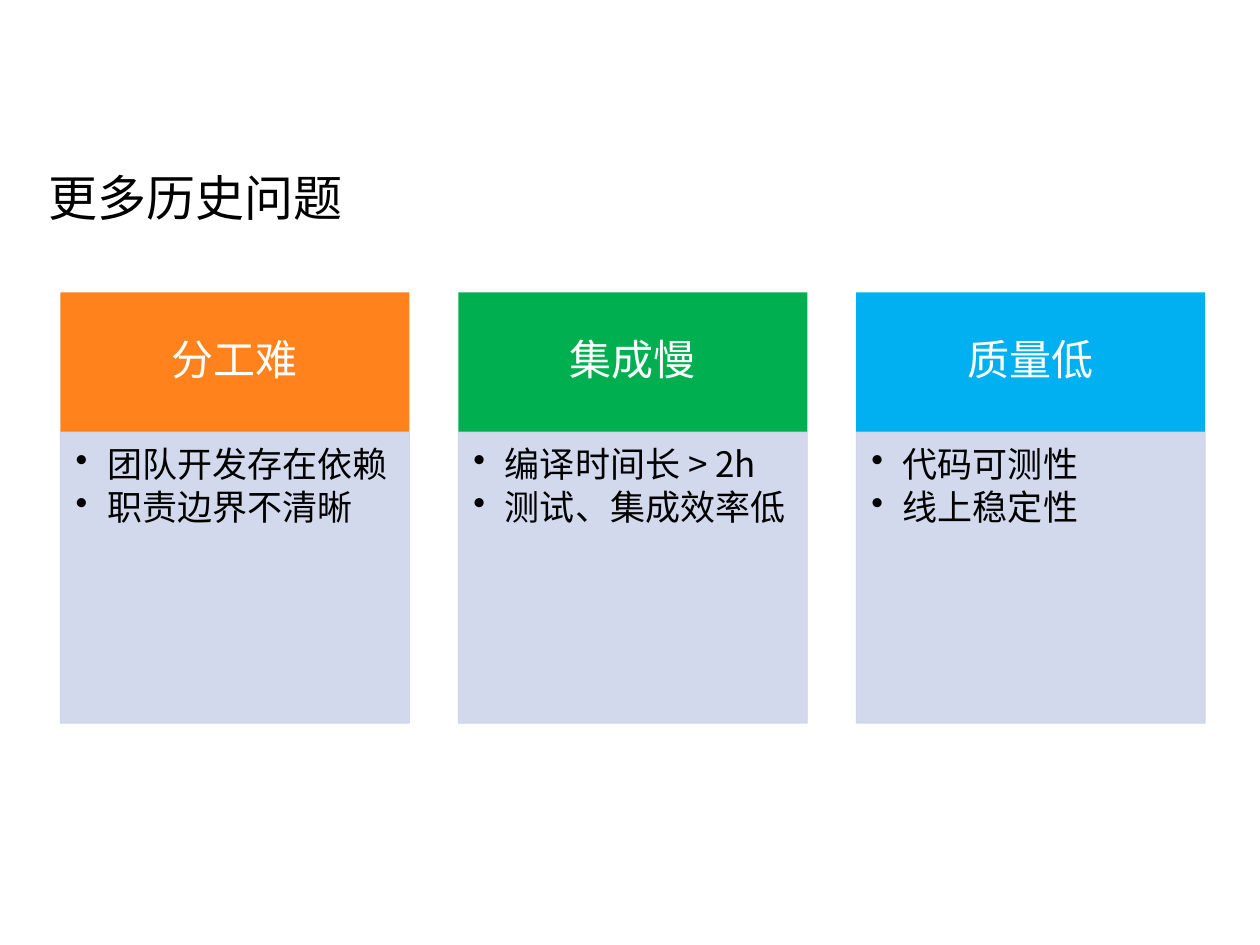
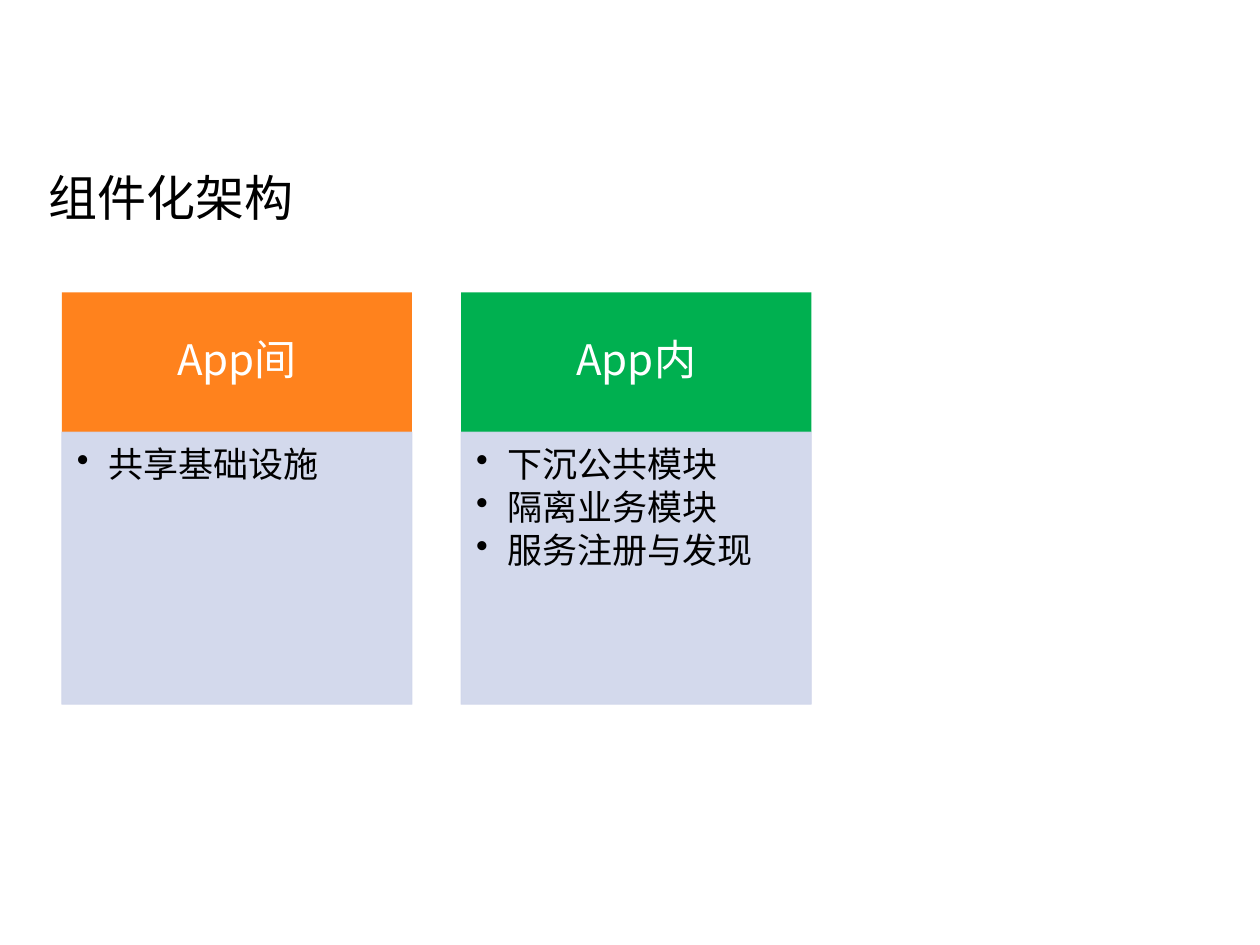
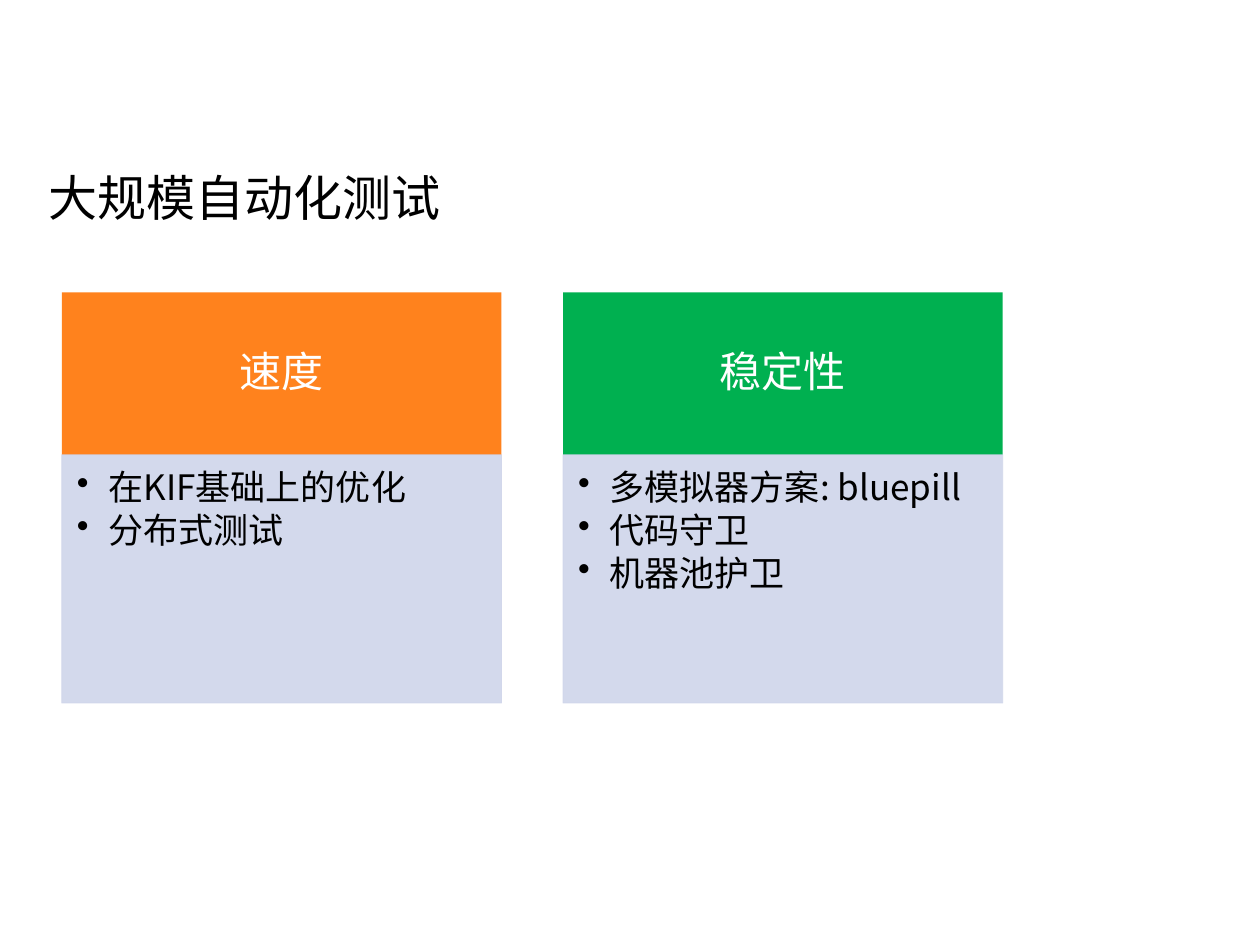
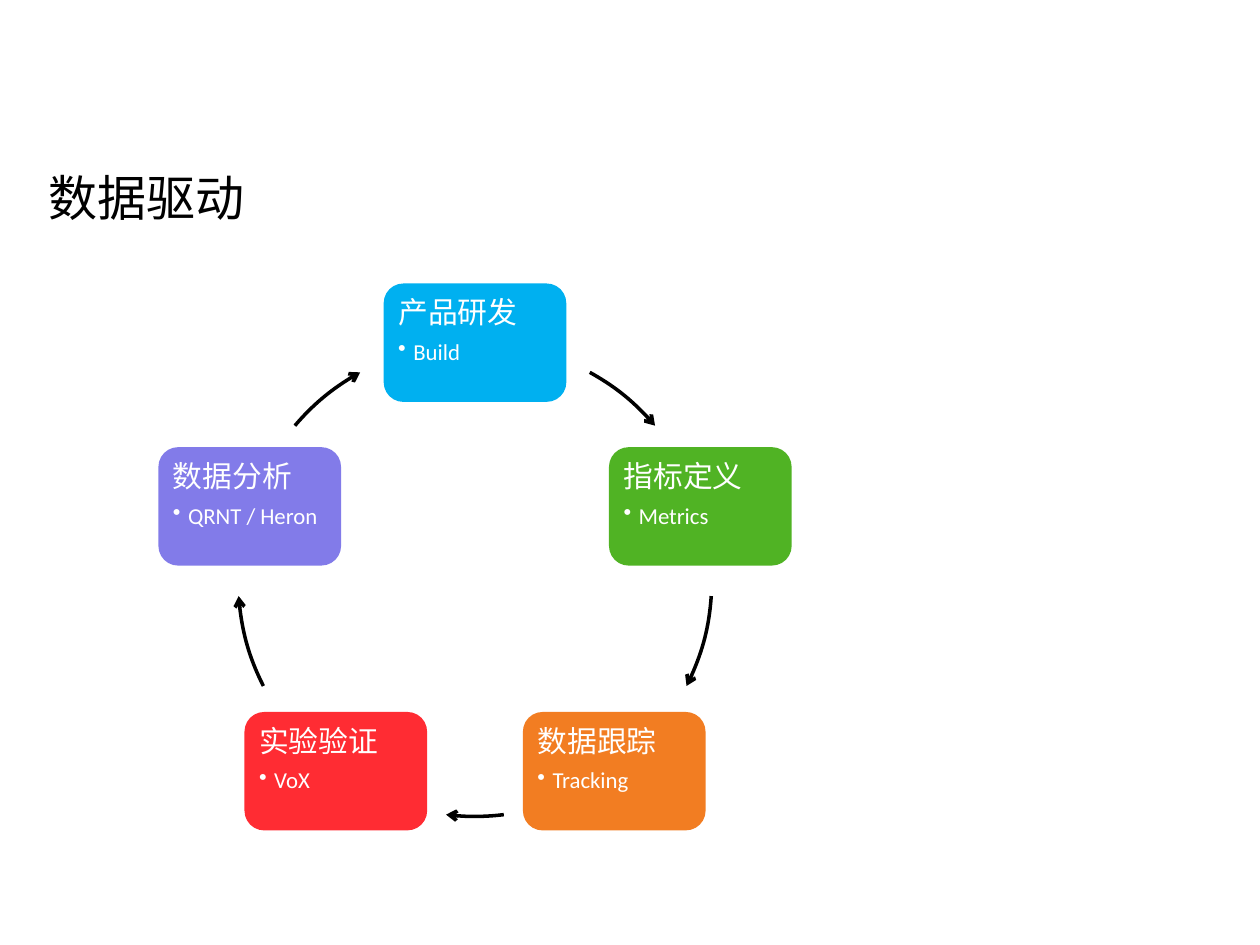
from math import cos, radians, sin

from lxml.etree import SubElement
from pptx import Presentation
from pptx.dml.color import RGBColor
from pptx.enum.shapes import MSO_SHAPE
from pptx.enum.text import MSO_ANCHOR, MSO_AUTO_SIZE, PP_ALIGN
from pptx.oxml.ns import qn
from pptx.util import Inches, Pt

CJK_FONT = "Noto Sans CJK SC"
LATIN_FONT = "Calibri"
BLACK = RGBColor(0x00, 0x00, 0x00)
WHITE = RGBColor(0xFF, 0xFF, 0xFF)
ORANGE = RGBColor(0xFF, 0x82, 0x1D)
GREEN = RGBColor(0x00, 0xB0, 0x50)
BLUE = RGBColor(0x00, 0xB0, 0xF0)
PALE_BLUE = RGBColor(0xCF, 0xD5, 0xEA)
LEAF_GREEN = RGBColor(0x50, 0xB3, 0x24)
AMBER = RGBColor(0xF2, 0x7D, 0x22)
RED = RGBColor(0xFF, 0x2C, 0x33)
VIOLET = RGBColor(0x82, 0x7B, 0xE9)

COLUMN_COLORS = (ORANGE, GREEN, BLUE)
COLUMN_TOP = 2.32
COLUMN_PITCH = 1.14
HEADING_INSETS = (0.19, 0.11, 0.19, 0.11)
BODY_INSETS = (0.12, 0.12, 0.16, 0.17)
CARD_INSETS = (0.07, 0.07, 0.07, 0.07)
CYCLE_X, CYCLE_Y, CYCLE_RADIUS = 3.77, 4.6, 1.88
CARD_WIDTH, CARD_HEIGHT = 1.45, 0.94

COLUMN_PAGES = (
    ("更多历史问题", 0.48, 2.77, 1.11, 2.31, (
        ("分工难", ("团队开发存在依赖", "职责边界不清晰")),
        ("集成慢", ("编译时间长 > 2h", "测试、集成效率低")),
        ("质量低", ("代码可测性", "线上稳定性")),
    )),
    ("组件化架构", 0.49, 2.78, 1.11, 2.16, (
        ("App间", ("共享基础设施",)),
        ("App内", ("下沉公共模块", "隔离业务模块", "服务注册与发现")),
    )),
    ("大规模自动化测试", 0.49, 3.49, 1.29, 1.97, (
        ("速度", ("在KIF基础上的优化", "分布式测试")),
        ("稳定性", ("多模拟器方案: bluepill", "代码守卫", "机器池护卫")),
    )),
)
CYCLE_STEPS = (
    ("产品研发", "Build", BLUE),
    ("指标定义", "Metrics", LEAF_GREEN),
    ("数据跟踪", "Tracking", AMBER),
    ("实验验证", "VoX", RED),
    ("数据分析", "QRNT / Heron", VIOLET),
)
ARROW_ANGLES = ((299, 319.5), (4, 26.7), (83, 97), (153.3, 176), (220.5, 241))


def style_paragraph(para, size, color, font=CJK_FONT):
    """Set the font of every run in a paragraph."""
    for span in para.runs:
        span.font.size = Pt(size)
        span.font.color.rgb = color
        span.font.name = font
        SubElement(span.font._element, qn("a:ea")).set("typeface", font)


def set_bullet(para, indent):
    """Give a paragraph a round bullet with a hanging indent."""
    para.level = 1
    properties = para._p.get_or_add_pPr()
    properties.set("marL", str(Inches(indent)))
    properties.set("indent", str(-Inches(indent)))
    SubElement(properties, qn("a:buChar")).set("char", "•")


def set_spacing(para, after):
    """Set tight lines and the space after a paragraph."""
    para.line_spacing = 0.9
    para.space_after = Pt(after)


def add_box(page, kind, left, top, width, height, fill, insets):
    """Add a filled shape whose text starts at the top left."""
    box = page.shapes.add_shape(
        kind, Inches(left), Inches(top), Inches(width), Inches(height))
    box.shadow.inherit = False
    box.fill.solid()
    box.fill.fore_color.rgb = fill
    box.line.fill.background()
    frame = box.text_frame
    frame.word_wrap = True
    frame.vertical_anchor = MSO_ANCHOR.TOP
    (frame.margin_left, frame.margin_top,
     frame.margin_right, frame.margin_bottom) = map(Inches, insets)
    return box


def set_lines(box, lines):
    """Fill a box with left-aligned paragraphs and return them."""
    box.text_frame.text = "\n".join(lines)
    for para in box.text_frame.paragraphs:
        para.alignment = PP_ALIGN.LEFT
    return box.text_frame.paragraphs


def make_translucent(box):
    """Give the fill and line of a box 90% opacity."""
    for color in box._element.spPr.iter(qn("a:srgbClr")):
        SubElement(color, qn("a:alpha")).set("val", "90000")


def add_page(deck, title):
    """Add a blank page with its title."""
    page = deck.slides.add_slide(deck.slide_layouts[6])
    box = page.shapes.add_textbox(
        Inches(0.29), Inches(1.28), Inches(7.25), Inches(0.57))
    frame = box.text_frame
    frame.word_wrap = True
    frame.auto_size = MSO_AUTO_SIZE.SHAPE_TO_FIT_TEXT
    frame.text = title
    style_paragraph(frame.paragraphs[0], 28, BLACK)
    return page


def add_column(page, left, width, heading_height, body_height, heading, items, color):
    """Add a coloured heading with a bulleted body below it."""
    head = add_box(page, MSO_SHAPE.RECTANGLE, left, COLUMN_TOP, width,
                   heading_height, color, HEADING_INSETS)
    head.text_frame.vertical_anchor = MSO_ANCHOR.MIDDLE
    para = set_lines(head, [heading])[0]
    para.alignment = PP_ALIGN.CENTER
    para.line_spacing = 0.9
    style_paragraph(para, 24, WHITE)

    body = add_box(page, MSO_SHAPE.RECTANGLE, left, COLUMN_TOP + heading_height,
                   width, body_height, PALE_BLUE, BODY_INSETS)
    body.line.color.rgb = PALE_BLUE
    body.line.width = Pt(0.5)
    make_translucent(body)
    for para in set_lines(body, items):
        set_bullet(para, 0.25)
        set_spacing(para, 3)
        style_paragraph(para, 20, BLACK)


def add_card(page, angle, heading, detail, color):
    """Add a rounded card centred on the cycle at a clockwise angle from the top."""
    center_x = CYCLE_X + CYCLE_RADIUS * sin(radians(angle))
    center_y = CYCLE_Y - CYCLE_RADIUS * cos(radians(angle))
    card = add_box(page, MSO_SHAPE.ROUNDED_RECTANGLE, center_x - CARD_WIDTH / 2,
                   center_y - CARD_HEIGHT / 2, CARD_WIDTH, CARD_HEIGHT,
                   color, CARD_INSETS)
    title, bullet = set_lines(card, [heading, detail])
    set_spacing(title, 6)
    style_paragraph(title, 17, WHITE)
    set_bullet(bullet, 0.12)
    set_spacing(bullet, 2)
    style_paragraph(bullet, 13, WHITE, LATIN_FONT)


def add_cycle_arrow(page, start, end):
    """Add an arc with an arrowhead, between two clockwise angles from the right."""
    side = Inches(2 * CYCLE_RADIUS)
    arrow = page.shapes.add_shape(
        MSO_SHAPE.ARC, Inches(CYCLE_X - CYCLE_RADIUS),
        Inches(CYCLE_Y - CYCLE_RADIUS), side, side)
    arrow.shadow.inherit = False
    arrow.adjustments[0] = start * 0.6
    arrow.adjustments[1] = end * 0.6
    arrow.fill.background()
    arrow.line.color.rgb = BLACK
    arrow.line.width = Pt(2)
    SubElement(arrow.line._get_or_add_ln(), qn("a:tailEnd")).set("type", "arrow")


def main():
    """Build the four pages and save the deck."""
    deck = Presentation()
    deck.slide_width, deck.slide_height = Inches(10), Inches(7.5)
    for title, left, width, heading_height, body_height, columns in COLUMN_PAGES:
        page = add_page(deck, title)
        for index, (heading, items) in enumerate(columns):
            add_column(page, left + index * width * COLUMN_PITCH, width,
                       heading_height, body_height, heading, items,
                       COLUMN_COLORS[index])

    page = add_page(deck, "数据驱动")
    step_angle = 360 / len(CYCLE_STEPS)
    for index, (step, angles) in enumerate(zip(CYCLE_STEPS, ARROW_ANGLES)):
        add_card(page, index * step_angle, *step)
        add_cycle_arrow(page, *angles)
    deck.save("out.pptx")


if __name__ == "__main__":
    main()
